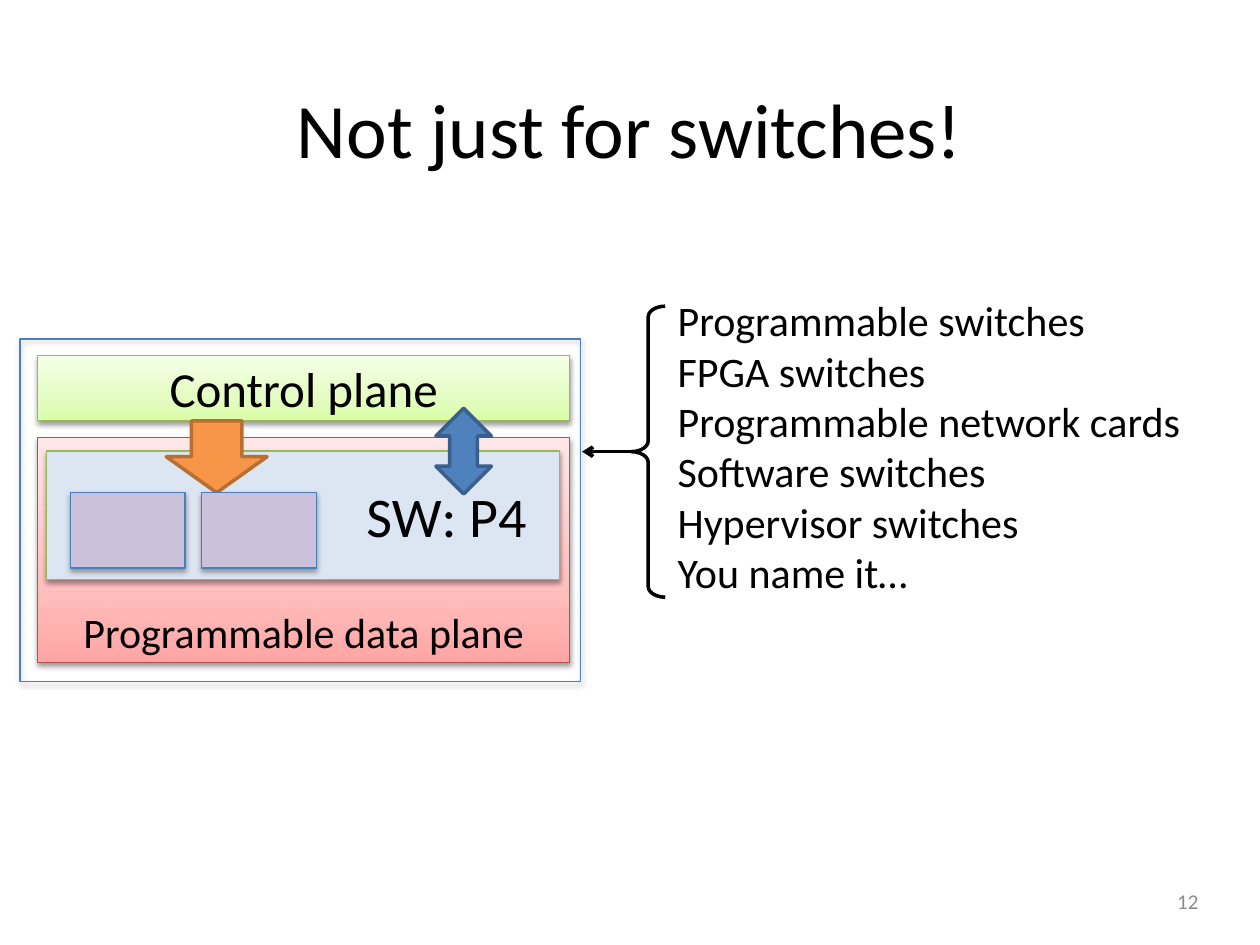
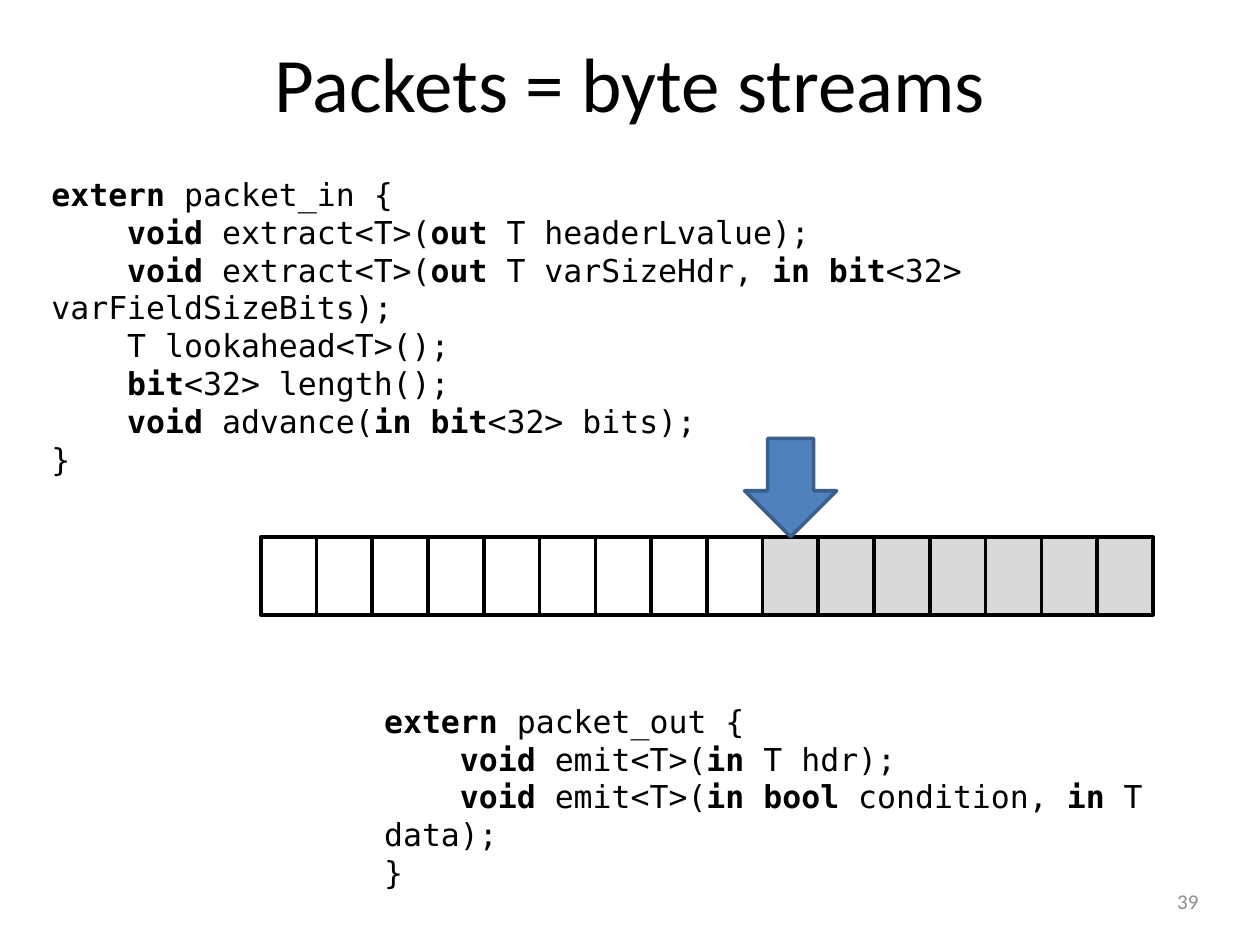
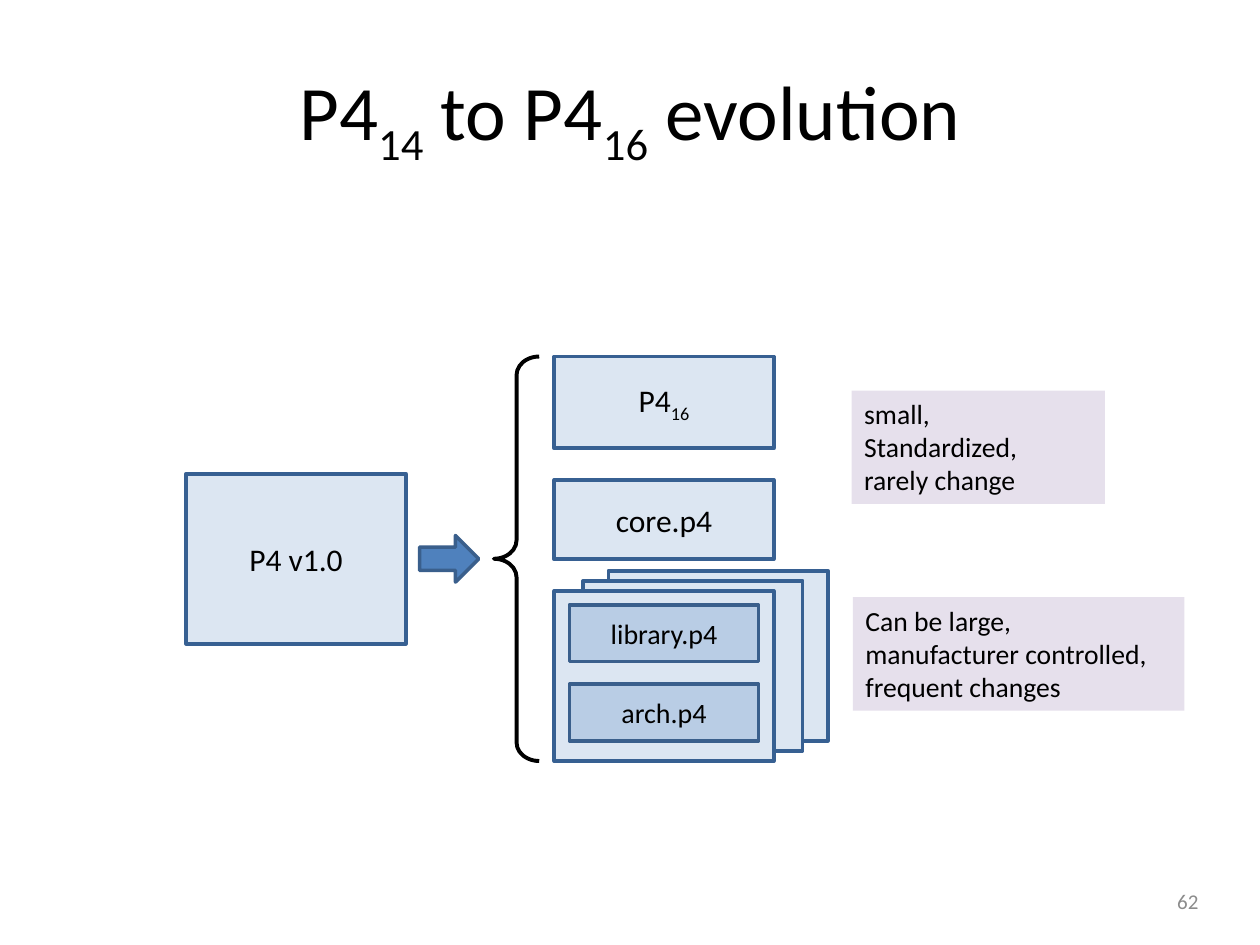
import copy

import lxml.etree
import pptx
import pptx.dml.color
import pptx.enum.shapes
import pptx.enum.text
import pptx.oxml.ns
import pptx.util

Inches = pptx.util.Inches
Color = pptx.dml.color.RGBColor
Shape = pptx.enum.shapes.MSO_SHAPE
Align = pptx.enum.text.PP_ALIGN
Anchor = pptx.enum.text.MSO_ANCHOR
qn = pptx.oxml.ns.qn

BLACK = Color(0x00, 0x00, 0x00)
NUMBER_GRAY = Color(0x8C, 0x8C, 0x8C)
CONSUMED_GRAY = Color(0xD9, 0xD9, 0xD9)
BLUE = Color(0x4F, 0x81, 0xBD)
BLUE_EDGE = Color(0x3A, 0x5F, 0x8C)
THIN_BLUE = Color(0x4B, 0x7E, 0xBC)
DARK_BLUE = Color(0x37, 0x60, 0x92)
PALE_BLUE = Color(0xDC, 0xE6, 0xF2)
MID_BLUE = Color(0xB9, 0xCD, 0xE5)
ORANGE = Color(0xF7, 0x96, 0x46)
ORANGE_EDGE = Color(0xB7, 0x6F, 0x34)
LILAC = Color(0xCC, 0xC1, 0xDA)
PALE_LILAC = Color(0xE6, 0xE0, 0xEC)
RED_EDGE = Color(0xBF, 0x4C, 0x48)
GREEN_EDGE = Color(0x98, 0xB9, 0x55)
RED_FADE = [
    (0, Color(0xFF, 0xA6, 0xA5)),
    (0.35, Color(0xFF, 0xC0, 0xBF)),
    (1, Color(0xFF, 0xE7, 0xE7)),
]
GREEN_FADE = [
    (0, Color(0xDA, 0xFD, 0xA7)),
    (0.35, Color(0xE4, 0xFC, 0xC2)),
    (1, Color(0xF5, 0xFF, 0xE7)),
]

BODY_FONT = "Calibri"
CODE_FONT = "DejaVu Sans Mono"

TARGETS = [
    "Programmable switches",
    "FPGA switches",
    "Programmable network cards",
    "Software switches",
    "Hypervisor switches",
    "You name it…",
]
# Text between bars is emphasised.
PACKET_IN = [
    "|extern| packet_in {",
    "    |void| extract<T>(|out| T headerLvalue);",
    "    |void| extract<T>(|out| T varSizeHdr, |in bit|<32> varFieldSizeBits);",
    "    T lookahead<T>();",
    "    |bit|<32> length();",
    "    |void| advance(|in bit|<32> bits);",
    "}",
]
PACKET_OUT = [
    "|extern| packet_out {",
    "    |void| emit<T>(|in| T hdr);",
    "    |void| emit<T>(|in bool| condition, |in| T data);",
    "}",
]
MODULES = [
    ("P4 v1.0", (1.48, 3.76, 1.74, 1.35)),
    ("P4|16|", (4.4, 2.83, 1.74, 0.73)),
    ("core.p4", (4.4, 3.81, 1.74, 0.63)),
]
STACK_CORNERS = [(4.83, 4.53), (4.63, 4.61), (4.4, 4.69)]
STACK_FILES = [("library.p4", 4.8), ("arch.p4", 5.43)]
REMARKS = [
    (["small,", "Standardized,", "rarely change"], (6.76, 3.1, 2.01, 0.9)),
    (["Can be large,", "manufacturer controlled,", "frequent changes"],
     (6.77, 4.74, 2.63, 0.9)),
]

BYTE_COUNT, BYTES_READ = 16, 9
STRIP_LEFT, STRIP_TOP, STRIP_WIDTH, STRIP_HEIGHT = 2.07, 4.26, 7.08, 0.62


def write(box, lines, size=18, font=BODY_FONT, color=BLACK, align=Align.LEFT,
          anchor=Anchor.TOP, emphasis="bold", right_margin=0.1):
    frame = box.text_frame
    frame.word_wrap = True
    frame.vertical_anchor = anchor
    frame.margin_right = Inches(right_margin)
    for index, line in enumerate([lines] if isinstance(lines, str) else lines):
        para = frame.paragraphs[0] if index == 0 else frame.add_paragraph()
        para.alignment = align
        for part, words in enumerate(line.split("|")):
            if not words:
                continue
            span = para.add_run()
            span.text = words
            span.font.name = font
            span.font.size = pptx.util.Pt(size)
            span.font.color.rgb = color
            if part % 2 and emphasis == "bold":
                span.font.bold = True
            elif part % 2:
                span._r.get_or_add_rPr().set("baseline", "-25000")


def add_text(page, lines, place, **style):
    box = page.shapes.add_textbox(*map(Inches, place))
    write(box, lines, **style)


def paint_gradient(shape, stops):
    shape.fill.gradient()
    shape.fill.gradient_angle = 90
    first = shape._element.spPr.find(".//" + qn("a:gs"))
    first.addnext(copy.deepcopy(first))
    for stop, (position, color) in zip(shape.fill.gradient_stops, stops):
        stop.position = position
        stop.color.rgb = color


def cast_shadow(shape, opacity):
    effects = shape._element.spPr.find(qn("a:effectLst"))
    shadow = lxml.etree.SubElement(
        effects, qn("a:outerShdw"), blurRad=str(pptx.util.Pt(3.1)),
        dist=str(pptx.util.Pt(1.7)), dir="5400000", rotWithShape="0")
    tint = lxml.etree.SubElement(shadow, qn("a:srgbClr"), val="000000")
    lxml.etree.SubElement(tint, qn("a:alpha"), val=str(opacity * 1000))


def add_shape(page, kind, place, fill=None, line=None, width=2, shadow=0):
    shape = page.shapes.add_shape(kind, *map(Inches, place))
    shape.shadow.inherit = False
    if fill is None:
        shape.fill.background()
    elif isinstance(fill, list):
        paint_gradient(shape, fill)
    else:
        shape.fill.solid()
        shape.fill.fore_color.rgb = fill
    if line is None:
        shape.line.fill.background()
    else:
        shape.line.color.rgb = line
        shape.line.width = pptx.util.Pt(width)
    if shadow:
        cast_shadow(shape, shadow)
    return shape


def add_brace(page, place, curl, width):
    brace = add_shape(page, Shape.LEFT_BRACE, place, line=BLACK, width=width)
    brace.adjustments[0] = curl
    return brace


def add_page(deck, title, title_place, number):
    page = deck.slides.add_slide(deck.slide_layouts[6])
    add_text(page, title, title_place, size=44, align=Align.CENTER,
             anchor=Anchor.MIDDLE, emphasis="subscript")
    add_text(page, number, (8.57, 6.95, 1.04, 0.4), size=12, color=NUMBER_GRAY,
             align=Align.RIGHT, anchor=Anchor.MIDDLE)
    return page


def build_targets(deck):
    page = add_page(deck, "Not just for switches!", (0.5, 0.3, 9, 1.43), "12")
    add_text(page, TARGETS, (5.28, 2.29, 4.43, 2.52), size=24)
    brace = add_brace(page, (5.01, 2.43, 0.27, 2.31), 0.315, 2)

    data_plane = add_shape(page, Shape.RECTANGLE, (0.3, 3.47, 4.22, 1.79),
                           RED_FADE, RED_EDGE, 0.75, 38)
    write(data_plane, "Programmable data plane", size=24, align=Align.CENTER,
          anchor=Anchor.BOTTOM)
    software = add_shape(page, Shape.RECTANGLE, (0.37, 3.58, 4.07, 1.02),
                         PALE_BLUE, GREEN_EDGE, 0.75, 38)
    write(software, "SW: P4", size=32, align=Align.RIGHT,
          anchor=Anchor.MIDDLE, right_margin=0.26)
    control_plane = add_shape(page, Shape.RECTANGLE, (0.3, 2.82, 4.22, 0.52),
                              GREEN_FADE, GREEN_EDGE, 0.75, 38)
    write(control_plane, "Control plane", size=28, align=Align.CENTER,
          anchor=Anchor.MIDDLE)

    add_shape(page, Shape.DOWN_ARROW, (1.32, 3.34, 0.8, 0.57), ORANGE, ORANGE_EDGE)
    add_shape(page, Shape.RECTANGLE, (0.16, 2.69, 4.45, 2.72), None,
              THIN_BLUE, 0.75, 35)
    add_shape(page, Shape.UP_DOWN_ARROW, (3.46, 3.24, 0.44, 0.68), BLUE, BLUE_EDGE)
    for left in (0.56, 1.6):
        add_shape(page, Shape.RECTANGLE, (left, 3.91, 0.91, 0.6), LILAC,
                  THIN_BLUE, 0.75, 35)

    pointer = page.shapes.add_connector(
        pptx.enum.shapes.MSO_CONNECTOR.STRAIGHT,
        *map(Inches, (5.01, 3.59, 4.62, 3.59)))
    pointer.begin_connect(brace, 1)
    pointer.end_y = pointer.begin_y
    pointer.line.color.rgb = BLACK
    pointer.line.width = pptx.util.Pt(2)
    lxml.etree.SubElement(pointer.line._get_or_add_ln(), qn("a:tailEnd"), type="arrow")
    lxml.etree.SubElement(pointer._element.spPr, qn("a:effectLst"))


def build_packets(deck):
    page = add_page(deck, "Packets = byte streams", (0.69, 0.18, 8.62, 0.94), "39")
    add_text(page, PACKET_IN, (0.31, 1.34, 9.43, 2.22), font=CODE_FONT)
    add_text(page, PACKET_OUT, (2.95, 5.52, 6.79, 1.31), font=CODE_FONT)
    byte_width = STRIP_WIDTH / BYTE_COUNT
    for index in range(BYTE_COUNT):
        place = (STRIP_LEFT + index * byte_width, STRIP_TOP, byte_width, STRIP_HEIGHT)
        add_shape(page, Shape.RECTANGLE, place,
                  CONSUMED_GRAY if index >= BYTES_READ else None, BLACK)
    add_shape(page, Shape.DOWN_ARROW, (5.91, 3.48, 0.73, 0.78), BLUE, BLUE_EDGE)


def build_evolution(deck):
    page = add_page(deck, "P4|14| to P4|16| evolution", (0.5, 0.3, 9, 1.25), "62")
    for left, top in STACK_CORNERS:
        add_shape(page, Shape.RECTANGLE, (left, top, 1.74, 1.35), PALE_BLUE,
                  DARK_BLUE, 2.25)
    for name, place in MODULES:
        module = add_shape(page, Shape.RECTANGLE, place, PALE_BLUE, DARK_BLUE, 2.25)
        write(module, name, align=Align.CENTER, anchor=Anchor.MIDDLE,
              emphasis="subscript")
    for name, top in STACK_FILES:
        file_box = add_shape(page, Shape.RECTANGLE, (4.52, top, 1.5, 0.45),
                             MID_BLUE, BLUE_EDGE)
        write(file_box, name, size=16, align=Align.CENTER, anchor=Anchor.MIDDLE)
    add_brace(page, (3.92, 2.83, 0.36, 3.21), 0.408, 2.25)
    add_shape(page, Shape.RIGHT_ARROW, (3.33, 4.25, 0.47, 0.37), BLUE, BLUE_EDGE)
    for lines, place in REMARKS:
        remark = add_shape(page, Shape.RECTANGLE, place, PALE_LILAC)
        write(remark, lines, size=15.8)


def main():
    deck = pptx.Presentation()
    deck.slide_width = Inches(10)
    deck.slide_height = Inches(7.5)
    build_targets(deck)
    build_packets(deck)
    build_evolution(deck)
    deck.save("out.pptx")


if __name__ == "__main__":
    main()
